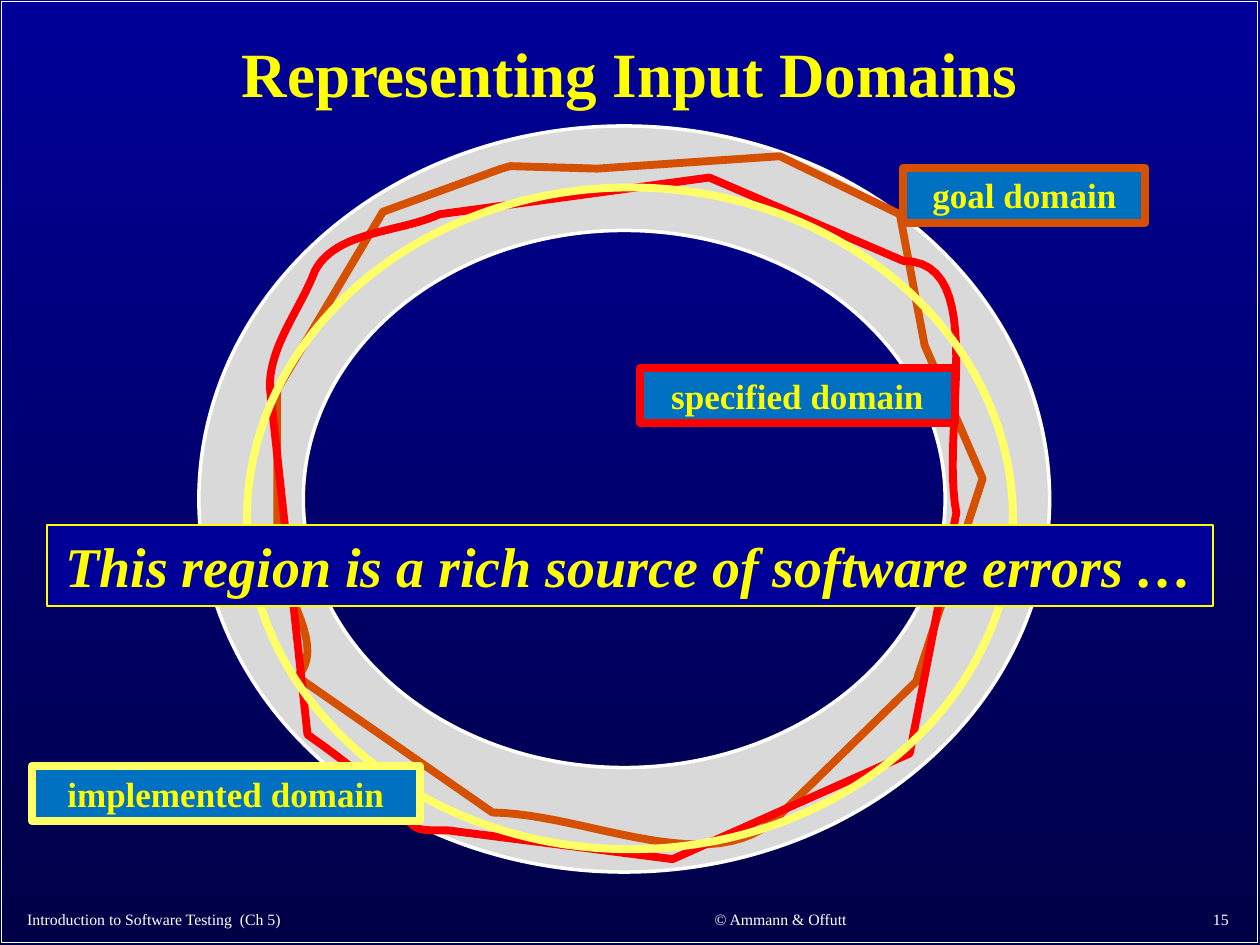
from dataclasses import dataclass

from pptx import Presentation
from pptx.dml.color import RGBColor
from pptx.enum import shapes, text
from pptx.util import Cm, Pt

LEFT, CENTER, RIGHT = text.PP_ALIGN.LEFT, text.PP_ALIGN.CENTER, text.PP_ALIGN.RIGHT
TOP, MIDDLE, BOTTOM = text.MSO_ANCHOR.TOP, text.MSO_ANCHOR.MIDDLE, text.MSO_ANCHOR.BOTTOM


@dataclass(frozen=True)
class Theme:
    font: str = "Times New Roman"
    night: str = "000047"
    navy: str = "000099"
    white: str = "FFFFFF"
    gray: str = "D9D9D9"
    yellow: str = "FFFF00"
    soft_yellow: str = "FAFD00"
    label_blue: str = "0070C0"
    goal: str = "D55000"
    specified: str = "FF0000"
    implemented: str = "FFFF66"
    title_size: float = 36
    banner_size: float = 32
    label_size: float = 20
    footer_size: float = 9
    domain_line: float = 4.5


THEME = Theme()


@dataclass(frozen=True)
class Box:
    """Left, top, width and height in centimetres."""
    left: float
    top: float
    width: float
    height: float

    def lengths(self) -> tuple:
        return Cm(self.left), Cm(self.top), Cm(self.width), Cm(self.height)


@dataclass(frozen=True)
class Run:
    words: str
    size: float
    color: str = THEME.yellow
    bold: bool = True
    italic: bool = False


@dataclass(frozen=True)
class Label:
    word: str
    box: Box
    color: str


@dataclass(frozen=True)
class Footer:
    words: str
    box: Box
    align: text.PP_ALIGN


# Domain outlines in centimetres: one point is a corner, three points a Bézier curve
GOAL_OUTLINE = [
    [(10.29, 3.35)], [(10.11, 3.40)], [(7.72, 4.27)], [(5.59, 7.85)], [(5.59, 11.18)],
    [(5.74, 12.01), (6.58, 13.06), (5.99, 13.64)], [(9.93, 16.38)],
    [(11.86, 16.41), (14.38, 17.78), (15.72, 16.43)], [(18.47, 13.74)],
    [(19.81, 9.65)], [(18.64, 6.96)], [(18.14, 4.32)], [(15.72, 3.15)], [(12.04, 3.40)],
]
SPECIFIED_OUTLINE = [
    [(8.86, 4.32)], [(8.03, 4.70), (6.78, 4.65), (6.35, 5.46)],
    [(6.05, 6.25), (5.44, 6.96), (5.44, 7.80)], [(6.20, 14.81)],
    [(8.97, 16.76), (7.82, 16.74), (9.02, 16.74)], [(13.56, 17.32)], [(18.34, 15.19)],
    [(19.28, 10.34)], [(18.95, 8.64), (19.96, 5.26), (18.21, 5.26)], [(14.30, 3.58)],
]
LABELS = [
    Label("goal ", Box(18.21, 3.38, 4.88, 1.11), THEME.goal),
    Label("specified ", Box(12.9, 7.42, 6.35, 1.11), THEME.specified),
    Label("implemented ", Box(0.64, 15.44, 7.82, 1.11), THEME.implemented),
]
FOOTERS = [
    Footer("Introduction to Software Testing  (Ch 5)", Box(0.3, 18.06, 10.85, 0.78), LEFT),
    Footer("© Ammann & Offutt", Box(11.71, 18.13, 8.05, 0.71), CENTER),
    Footer("15", Box(20.02, 18.1, 5, 0.74), RIGHT),
]


def style_shape(shape, line: str, width: float, fill: str | None = None) -> None:
    shape.shadow.inherit = False
    shape.line.color.rgb = RGBColor.from_string(line)
    shape.line.width = Pt(width)
    if fill:
        shape.fill.solid()
        shape.fill.fore_color.rgb = RGBColor.from_string(fill)
    else:
        shape.fill.background()


def add_preset(slide, kind, box: Box, line: str, width: float, fill: str | None = None):
    shape = slide.shapes.add_shape(kind, *box.lengths())
    style_shape(shape, line, width, fill)
    return shape


def write(shape, runs: list[Run], align=CENTER, anchor=TOP):
    frame = shape.text_frame
    frame.word_wrap = True
    frame.vertical_anchor = anchor
    paragraph = frame.paragraphs[0]
    paragraph.alignment = align
    for item in runs:
        run = paragraph.add_run()
        run.text = item.words
        run.font.name = THEME.font
        run.font.size = Pt(item.size)
        run.font.bold = item.bold
        run.font.italic = item.italic
        run.font.color.rgb = RGBColor.from_string(item.color)
    return paragraph


def bezier(controls: list[tuple], steps: int = 24) -> list[tuple]:
    """Points along a cubic curve, without its start."""
    points = []
    for step in range(1, steps + 1):
        t = step / steps
        weights = ((1 - t) ** 3, 3 * t * (1 - t) ** 2, 3 * t ** 2 * (1 - t), t ** 3)
        points.append(tuple(sum(w * point[axis] for w, point in zip(weights, controls))
                            for axis in (0, 1)))
    return points


def add_domain(slide, outline: list[list[tuple]], color: str) -> None:
    points = list(outline[0])
    for segment in outline[1:]:
        points += bezier([points[-1], *segment]) if len(segment) == 3 else segment
    start, *rest = [(Cm(x), Cm(y)) for x, y in points]
    builder = slide.shapes.build_freeform(*start)
    builder.add_line_segments(rest, close=True)
    style_shape(builder.convert_to_shape(), color, THEME.domain_line)


def add_label(slide, label: Label) -> None:
    shape = add_preset(slide, shapes.MSO_SHAPE.RECTANGLE, label.box, label.color,
                       THEME.domain_line, THEME.label_blue)
    write(shape, [Run(label.word, THEME.label_size),
                  Run("domain", THEME.label_size, THEME.soft_yellow)])


def add_footer(slide, footer: Footer) -> None:
    shape = slide.shapes.add_textbox(*footer.box.lengths())
    run = Run(footer.words, THEME.footer_size, THEME.white, bold=False)
    write(shape, [run], footer.align, BOTTOM)


def main() -> None:
    presentation = Presentation()
    presentation.slide_width, presentation.slide_height = Cm(25.4), Cm(19.05)
    slide = presentation.slides.add_slide(presentation.slide_layouts[6])

    # Background and frame
    background = slide.background.fill
    background.gradient()
    background.gradient_angle = 270
    for stop, color in zip(background.gradient_stops, (THEME.navy, THEME.night)):
        stop.color.rgb = RGBColor.from_string(color)
    add_preset(slide, shapes.MSO_SHAPE.RECTANGLE, Box(0.03, 0.03, 25.32, 18.97),
               THEME.white, 1)

    # Ring around the domain borders
    ring = add_preset(slide, shapes.MSO_SHAPE.DONUT, Box(4.01, 2.54, 17.15, 15.04),
                      THEME.white, 2, THEME.gray)
    ring.adjustments[0] = 0.14

    # Title and footers
    title = slide.shapes.add_textbox(*Box(0.25, 0.28, 24.89, 2.54).lengths())
    write(title, [Run("Representing Input Domains", THEME.title_size)],
          anchor=MIDDLE).line_spacing = 0.9
    for footer in FOOTERS:
        add_footer(slide, footer)

    # The three domains and their labels
    add_domain(slide, GOAL_OUTLINE, THEME.goal)
    add_domain(slide, SPECIFIED_OUTLINE, THEME.specified)
    add_preset(slide, shapes.MSO_SHAPE.OVAL, Box(4.98, 3.78, 15.44, 13.34),
               THEME.implemented, THEME.domain_line)
    for label in LABELS:
        add_label(slide, label)

    # Banner
    banner = add_preset(slide, shapes.MSO_SHAPE.RECTANGLE, Box(0.95, 10.59, 23.5, 1.63),
                        THEME.yellow, 1, THEME.navy)
    write(banner, [Run("This region is a rich source of software errors …",
                       THEME.banner_size, italic=True)])

    presentation.save("out.pptx")


if __name__ == "__main__":
    main()
